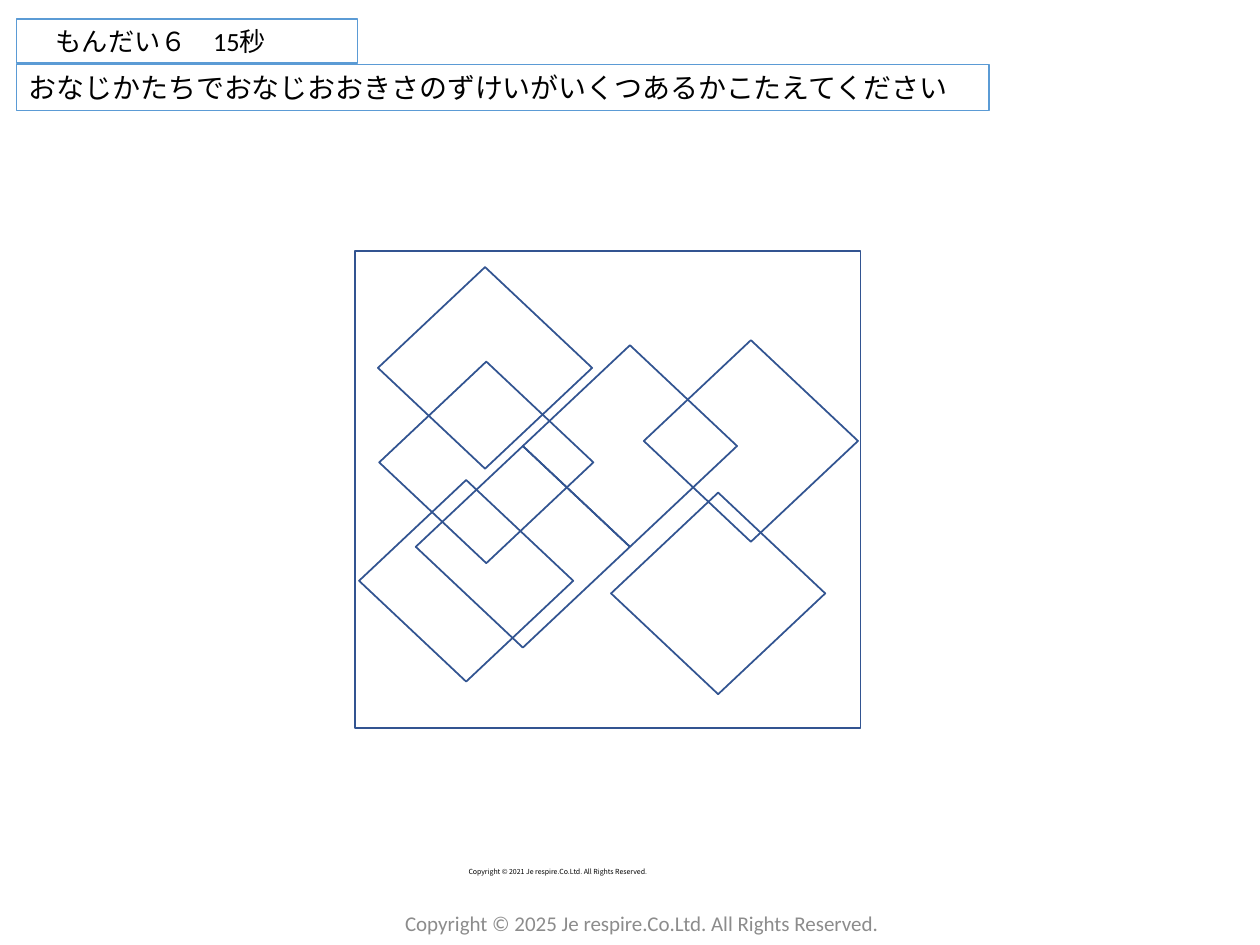
"""Build a puzzle slide that asks how many equal shapes overlap in a frame."""
from pptx import Presentation
from pptx.dml.color import RGBColor
from pptx.enum.shapes import MSO_SHAPE
from pptx.enum.text import MSO_ANCHOR, MSO_AUTO_SIZE, PP_ALIGN
from pptx.util import Inches, Pt

RECT, DIAMOND = MSO_SHAPE.RECTANGLE, MSO_SHAPE.DIAMOND
TOP, MIDDLE = MSO_ANCHOR.TOP, MSO_ANCHOR.MIDDLE
LEFT, CENTER = PP_ALIGN.LEFT, PP_ALIGN.CENTER
GROW, FIXED = MSO_AUTO_SIZE.SHAPE_TO_FIT_TEXT, MSO_AUTO_SIZE.NONE
BLACK = RGBColor(0x00, 0x00, 0x00)
GRAY = RGBColor(0x8C, 0x8C, 0x8C)
SKY = RGBColor(0x5B, 0x9B, 0xD5)
NAVY = RGBColor(0x32, 0x54, 0x91)


def outline(group, kind, box, color, width):
    shape = group.add_shape(kind, *map(Inches, box))
    shape.shadow.inherit = False
    shape.fill.background()
    shape.line.color.rgb = color
    shape.line.width = Pt(width)
    return shape


def write(shape, text, align, color, frame, font):
    body = shape.text_frame
    for name, value in frame.items():
        setattr(body, name, value)
    line = body.paragraphs[0]
    line.alignment = align
    run = line.add_run()
    run.text = text
    for name, value in font.items():
        setattr(run.font, name, value)
    run.font.color.rgb = color


deck = Presentation()
deck.slide_width, deck.slide_height = Inches(10), Inches(7.5)
slide = deck.slides.add_slide(deck.slide_layouts[6])

HEAD = {"word_wrap": True, "auto_size": GROW, "vertical_anchor": TOP}
heads = [
    ((0.13, 0.51, 7.72, 0.37), "おなじかたちでおなじおおきさのずけいがいくつあるかこたえてください",
     LEFT, {"name": "Arial", "size": Pt(16)}),
    ((0.13, 0.15, 2.71, 0.35), "もんだい６　15秒　　",
     CENTER, {"name": "Calibri", "size": Pt(15)}),
]
for box, text, align, font in heads:
    write(outline(slide.shapes, RECT, box, SKY, 0.75), text, align, BLACK, HEAD, font)

group = slide.shapes.add_group_shape().shapes
outline(group, RECT, (2.82, 1.99, 4.01, 3.79), NAVY, 1)
spots = [(4.15, 2.74), (3.3, 3.54), (3, 2.12), (5.11, 2.7),
         (2.85, 3.81), (4.85, 3.91), (3.01, 2.87)]
for left, top in spots:
    outline(group, DIAMOND, (left, top, 1.7, 1.6), NAVY, 1)

NOTE = {"word_wrap": True, "auto_size": FIXED, "vertical_anchor": MIDDLE}
notes = [
    ((2.82, 7.13, 4.55, 0.4), "Copyright © 2025 Je respire.Co.Ltd. All Rights Reserved.",
     CENTER, GRAY, {"name": "Calibri", "size": Pt(12)}),
    ((3.62, 6.76, 1.89, 0.31), "Copyright © 2021 Je respire.Co.Ltd. All Rights Reserved.",
     LEFT, BLACK, {"name": "Noto Sans CJK JP", "size": Pt(4)}),
]
for box, text, align, color, font in notes:
    write(slide.shapes.add_textbox(*map(Inches, box)), text, align, color, NOTE, font)

deck.save("out.pptx")
